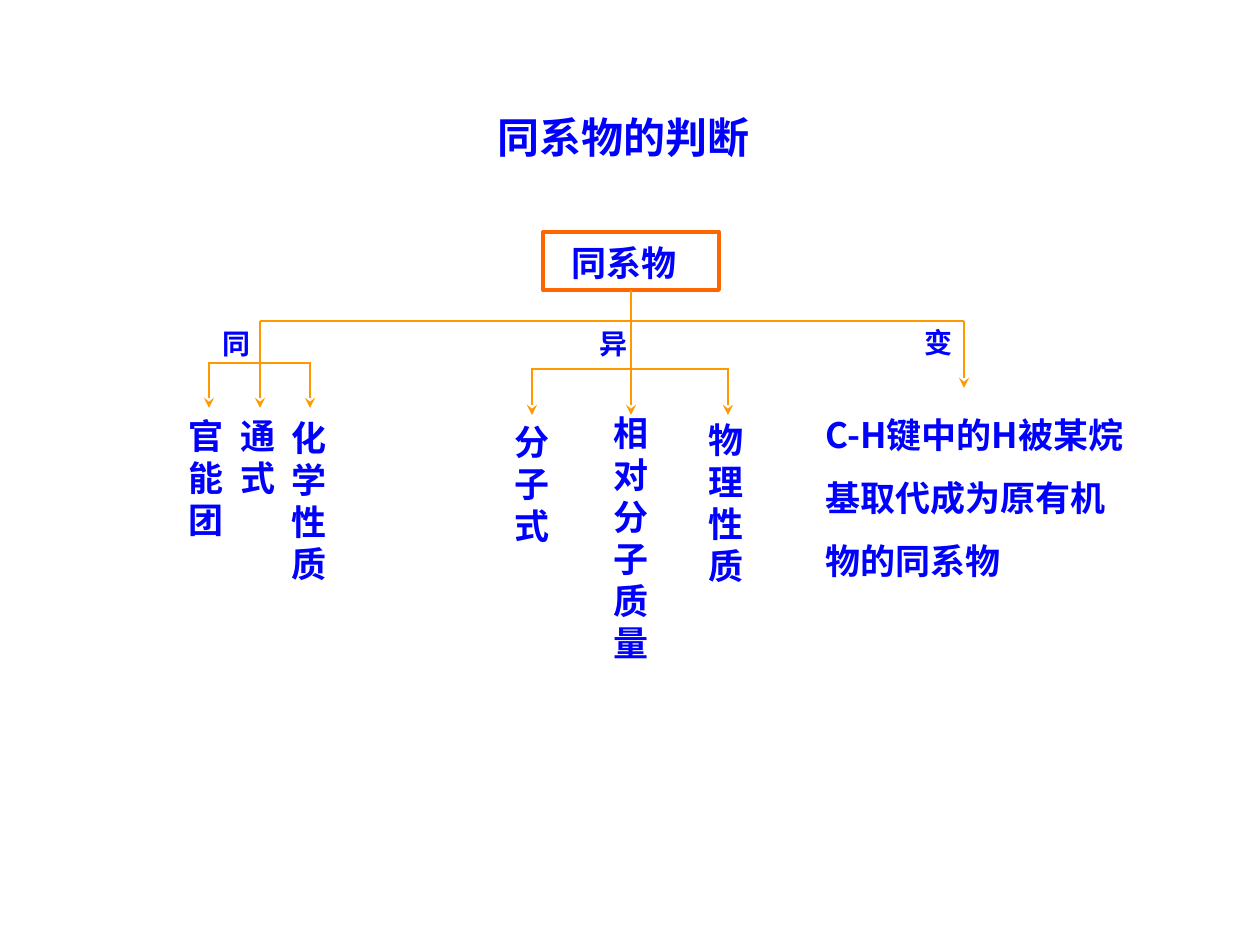
from dataclasses import dataclass

from lxml import etree
from pptx import Presentation
from pptx import util as u
from pptx.dml.color import RGBColor
from pptx.enum import shapes, text
from pptx.oxml.ns import qn


@dataclass(frozen=True)
class Theme:
    font: str = "Noto Sans CJK SC"
    ink: str = "0000FF"
    branch: str = "FF9900"
    frame: str = "FF6600"
    title: int = 24
    body: int = 20
    label: int = 16
    branch_width: float = 1.5
    frame_width: float = 2.25


THEME = Theme()
SCALE = 914400 / 126  # EMU in one px

# Content: boxes are left, top, width, height in px
TITLE = ("同系物的判断", (403, 105, 441, 63))
ROOT = ("同系物", (559, 223, 238, 68))
ROOT_FRAME = (543, 232, 176, 58)
RAIL_Y = 321
COLUMN_WIDTH, LINE_HEIGHT, PADDING = 88, 42, 13

# Branches: label, label box, stem x, bar y, arrow tip y,
# and columns as (text, arrow x, text left, text top)
BRANCHES = [
    dict(label="同", box=(210, 320, 83, 46), x=260, bar=363, tip=408, columns=[
        ("官能团", 209, 176, 408),
        ("通式", 260, 228, 408),
        ("化学性质", 310, 279, 410)]),
    dict(label="异", box=(587, 320, 164, 46), x=631, bar=369, tip=415, columns=[
        ("分子式", 532, 502, 414),
        ("相对分子质量", 631, 601, 405),
        ("物理性质", 728, 696, 412)]),
    dict(label="变", box=(912, 319, 112, 46), x=964, bar=RAIL_Y, tip=388, columns=[]),
]
CHANGE = ("C-H键中的H被某烷基取代成为原有机物的同系物", (813, 386, 333, 202))


def px(*values):
    return [round(value * SCALE) for value in values]


def add_text(slide, words, box, size, **paragraph_format):
    frame = slide.shapes.add_textbox(*px(*box)).text_frame
    frame.word_wrap = True
    frame.auto_size = text.MSO_AUTO_SIZE.SHAPE_TO_FIT_TEXT
    paragraph = frame.paragraphs[0]
    for name, value in paragraph_format.items():
        setattr(paragraph, name, value)
    run = paragraph.add_run()
    run.text = words
    for name, value in dict(name=THEME.font, size=u.Pt(size), bold=True).items():
        setattr(run.font, name, value)
    run.font.color.rgb = RGBColor.from_string(THEME.ink)
    east_asian = etree.SubElement(run._r.get_or_add_rPr(), qn("a:ea"))
    east_asian.set("typeface", THEME.font)


def add_line(slide, start, end, arrow=False):
    line = slide.shapes.add_connector(
        shapes.MSO_CONNECTOR.STRAIGHT, *px(*start, *end))
    line.line.color.rgb = RGBColor.from_string(THEME.branch)
    line.line.width = u.Pt(THEME.branch_width)
    if arrow:
        etree.SubElement(line.line._get_or_add_ln(), qn("a:tailEnd"), type="stealth")
    etree.SubElement(line._element.spPr, qn("a:effectLst"))
    return line


def add_root(slide):
    frame = slide.shapes.add_shape(shapes.MSO_SHAPE.RECTANGLE, *px(*ROOT_FRAME))
    frame.shadow.inherit = False
    frame.fill.background()
    frame.line.color.rgb = RGBColor.from_string(THEME.frame)
    frame.line.width = u.Pt(THEME.frame_width)
    add_text(slide, *ROOT, THEME.body, line_spacing=1.3)

    left, top, width, height = ROOT_FRAME
    middle = left + width / 2
    trunk = add_line(slide, (middle, top + height), (middle, RAIL_Y))
    trunk.begin_connect(frame, 2)


def add_branch(slide, branch):
    x, bar, tip, columns = (branch[key] for key in ("x", "bar", "tip", "columns"))
    if columns:
        add_line(slide, (x, RAIL_Y), (x, bar))
        add_line(slide, (columns[0][1] - 1, bar), (columns[-1][1] + 1, bar))
    else:
        add_line(slide, (x, RAIL_Y), (x, tip), arrow=True)
    for words, arrow_x, left, top in columns:
        add_line(slide, (arrow_x, bar), (arrow_x, tip), arrow=True)
        height = len(words) * LINE_HEIGHT + PADDING
        add_text(slide, words, (left, top, COLUMN_WIDTH, height), THEME.body)
    add_text(slide, branch["label"], branch["box"], THEME.label)


def main():
    deck = Presentation()
    deck.slide_width, deck.slide_height = px(1260, 945)
    slide = deck.slides.add_slide(deck.slide_layouts[6])

    # Title and root of the tree
    add_text(slide, *TITLE, THEME.title, alignment=text.PP_ALIGN.CENTER)
    add_root(slide)

    # Rail and the branches below it
    add_line(slide, (BRANCHES[0]["x"], RAIL_Y), (BRANCHES[-1]["x"], RAIL_Y))
    for branch in BRANCHES:
        add_branch(slide, branch)
    add_text(slide, *CHANGE, THEME.body, line_spacing=1.5)

    deck.save("out.pptx")


if __name__ == "__main__":
    main()
